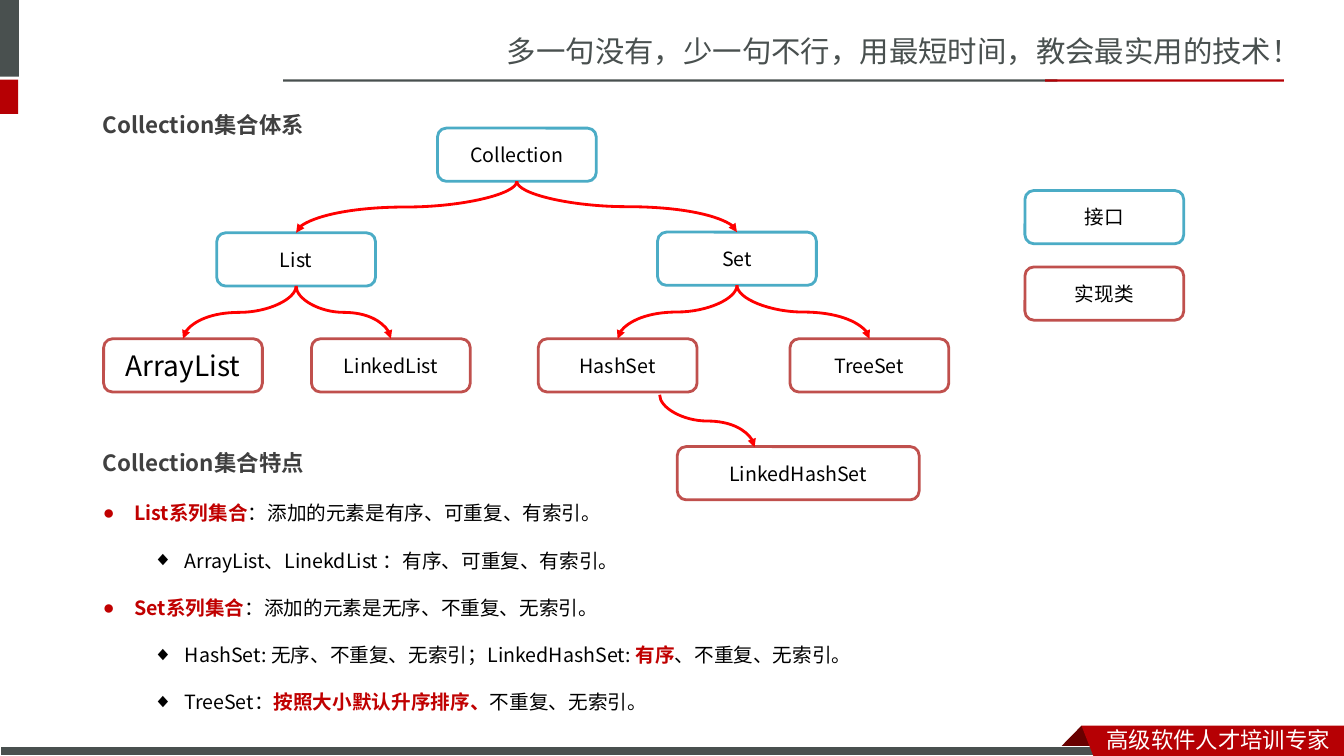
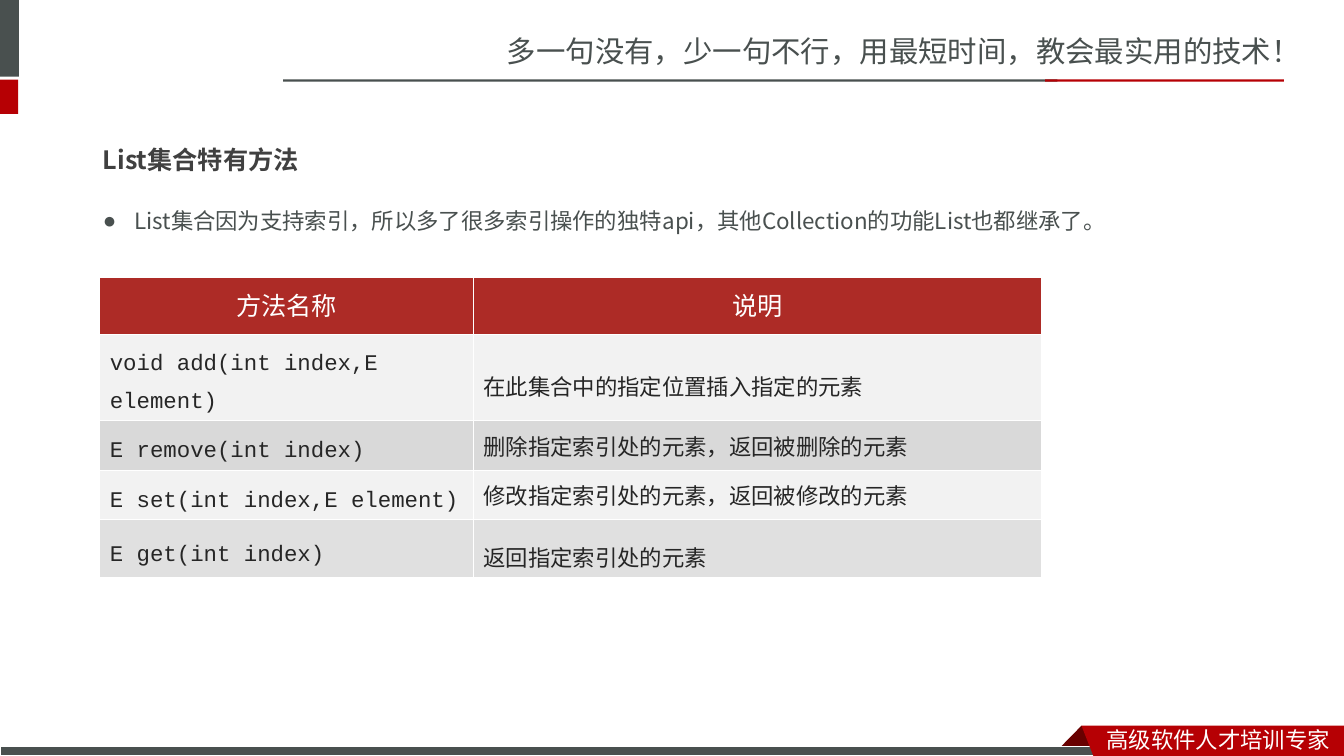
from lxml.etree import SubElement
from pptx import Presentation
from pptx.dml.color import RGBColor
from pptx.enum.shapes import MSO_CONNECTOR as Connector, MSO_SHAPE as Shape
from pptx.enum.text import MSO_ANCHOR as Anchor, MSO_AUTO_SIZE as AutoSize, PP_ALIGN as Align
from pptx.oxml.ns import qn
from pptx.util import Pt

COLORS = {
    "gray": "49504F", "red": "B60004", "fold": "680000", "white": "FFFFFF",
    "black": "000000", "heading": "404040", "emphasis": "C00000",
    "interface": "4BACC6", "class": "C0504D", "arrow": "FF0000",
    "header": "AD2B26", "code": "262626",
    "light": "F2F2F2", "dark": "D9D9D9", "medium": "E0E0E0",
}
SANS, HAN, CODE = "Noto Sans CJK JP", "Noto Sans CJK SC", "Courier New"
BULLETS = ("●", "◆")
LEFT = 66.24
NODE_WIDTH, NODE_HEIGHT = 113.4, 38


def rgb(name):
    return RGBColor.from_string(COLORS[name])


def write(frame, *lines, size=14, color="black", font=SANS, east=None, bold=False,
          align=Align.LEFT, spacing=1.0, anchor=Anchor.TOP, levels=None):
    """Fill a text frame; parts between asterisks are emphasised, levels add bullets."""
    frame.word_wrap = True
    frame.auto_size = AutoSize.NONE
    frame.vertical_anchor = anchor
    for index, line in enumerate(lines):
        para = frame.add_paragraph() if index else frame.paragraphs[0]
        para.alignment, para.line_spacing = align, spacing
        para.space_before = Pt(0)
        if levels:
            add_bullet(para, levels[index])
        for part, text in enumerate(line.split("*")):
            if not text:
                continue
            strong = part % 2 == 1
            span = para.add_run()
            span.text = text
            span.font.size = Pt(size)
            span.font.bold = bold or strong
            span.font.color.rgb = rgb("emphasis" if strong else color)
            span.font.name = font
            latin = span.font._element.find(qn("a:latin"))
            east_font = SubElement(span.font._element, qn("a:ea"))
            east_font.set("typeface", east or font)
            latin.addnext(east_font)


def add_bullet(para, level):
    para.level = level
    properties = para._p.get_or_add_pPr()
    properties.set("marL", str(Pt(22.5 + 36 * level)))
    properties.set("indent", str(Pt(-22.5)))
    SubElement(properties, qn("a:buChar")).set("char", BULLETS[level])


class Slides:
    def __init__(self):
        self.deck = Presentation()
        self.deck.slide_width, self.deck.slide_height = Pt(960), Pt(540)
        self.page = None

    def new_page(self):
        self.page = self.deck.slides.add_slide(self.deck.slide_layouts[1])
        self.bar(0, 0, 13.5, 54.7, "gray")
        self.bar(0, 56.9, 13, 24.5, "red")
        self.bar(202.3, 56.7, 553, 1.6, "gray")
        self.bar(746.6, 56.7, 170.6, 1.6, "red")
        self.text(355, 20.2, 605, 34, "多一句没有，少一句不行，用最短时间，教会最实用的技术！",
                  size=21, color="gray", font=HAN)
        self.polygon([(772.5, 518.4), (788.4, 534.5), (756.7, 534.5)], "fold")
        self.bar(0, 533.5, 791, 6.5, "gray", "white")
        self.polygon([(772.5, 518.4), (960, 518.4), (960, 540), (781, 540)], "red")
        self.text(783.4, 514.8, 176.6, 25, "高级软件人才培训专家",
                  size=16, color="white", font=HAN)

    def paint(self, shape, fill, line=None, weight=0.75):
        shape.shadow.inherit = False
        shape.fill.solid()
        shape.fill.fore_color.rgb = rgb(fill)
        if line:
            shape.line.color.rgb = rgb(line)
            shape.line.width = Pt(weight)
        else:
            shape.line.fill.background()

    def bar(self, left, top, width, height, fill, line=None):
        shape = self.page.shapes.add_shape(Shape.RECTANGLE, Pt(left), Pt(top), Pt(width), Pt(height))
        self.paint(shape, fill, line)

    def polygon(self, points, fill):
        start, *others = [(Pt(x), Pt(y)) for x, y in points]
        builder = self.page.shapes.build_freeform(*start)
        builder.add_line_segments(others, close=True)
        self.paint(builder.convert_to_shape(), fill)

    def text(self, left, top, width, height, *lines, **style):
        box = self.page.shapes.add_textbox(Pt(left), Pt(top), Pt(width), Pt(height))
        write(box.text_frame, *lines, **style)

    def fill_placeholder(self, index, top, width, height, *lines, **style):
        box = self.page.placeholders[index]
        box.left, box.top, box.width, box.height = Pt(LEFT), Pt(top), Pt(width), Pt(height)
        write(box.text_frame, *lines, **style)

    def title(self, top, width, height, text, **style):
        self.fill_placeholder(0, top, width, height, text, color="heading", bold=True, **style)

    def body(self, top, width, height, items, **style):
        """Write a bulleted list from (level, text) pairs."""
        levels, lines = zip(*items)
        self.fill_placeholder(1, top, width, height, *lines, levels=levels, spacing=2.0, **style)

    def node(self, center, top, text, kind, width=NODE_WIDTH, size=14):
        box = self.page.shapes.add_shape(Shape.ROUNDED_RECTANGLE, Pt(center - width / 2), Pt(top),
                                         Pt(width), Pt(NODE_HEIGHT))
        self.paint(box, "white", kind, 2)
        write(box.text_frame, text, size=size, align=Align.CENTER, anchor=Anchor.MIDDLE)

    def arrow(self, x1, y1, x2, y2):
        """Draw a curve that leaves and arrives vertically: a horizontal one, turned."""
        middle_x, middle_y = (x1 + x2) / 2, (y1 + y2) / 2
        half_width, half_height = (y2 - y1) / 2, abs(x2 - x1) / 2
        side = 1 if x2 > x1 else -1
        curve = self.page.shapes.add_connector(
            Connector.CURVE, Pt(middle_x + side * half_width), Pt(middle_y - half_height),
            Pt(middle_x - side * half_width), Pt(middle_y + half_height))
        curve.line.color.rgb = rgb("arrow")
        curve.line.width = Pt(2)
        properties = curve._element.spPr
        properties.find(qn("a:xfrm")).set("rot", str((270 if side > 0 else 90) * 60000))
        SubElement(properties.find(qn("a:ln")), qn("a:tailEnd")).set("type", "triangle")
        SubElement(properties, qn("a:effectLst"))

    def table(self, left, top, widths, heights, rows, fills):
        """Each row is a list of (text, style) pairs."""
        table = self.page.shapes.add_table(len(rows), len(widths), Pt(left), Pt(top),
                                           Pt(sum(widths)), Pt(sum(heights))).table
        for column, width in zip(table.columns, widths):
            column.width = Pt(width)
        for index, (row, height, fill) in enumerate(zip(rows, heights, fills)):
            table.rows[index].height = Pt(height)
            for cell, (text, style) in zip(table.rows[index].cells, row):
                cell.fill.solid()
                cell.fill.fore_color.rgb = rgb(fill)
                cell.vertical_anchor = Anchor.MIDDLE
                write(cell.text_frame, text, anchor=None, **style)


def collection_page(slides):
    slides.new_page()
    slides.title(66.2, 603, 34, "Collection集合体系", size=16, spacing=1.5)
    slides.body(337.7, 620.6, 172, [
        (0, "*List系列集合*：添加的元素是有序、可重复、有索引。"),
        (1, "ArrayList、LinekdList ：有序、可重复、有索引。"),
        (0, "*Set系列集合*：添加的元素是无序、不重复、无索引。"),
        (1, "HashSet: 无序、不重复、无索引；LinkedHashSet: *有序*、不重复、无索引。"),
        (1, "TreeSet：*按照大小默认升序排序、*不重复、无索引。"),
    ])
    slides.text(LEFT, 307.4, 603, 34, "Collection集合特点",
                size=16, color="heading", bold=True, spacing=1.5)

    nodes = {
        "Collection": (369.2, 91.5, "interface"),
        "List": (211.5, 166.3, "interface"),
        "Set": (526.4, 165.8, "interface"),
        "ArrayList": (130.7, 242, "class"),
        "LinkedList": (279.2, 242, "class"),
        "HashSet": (441.2, 242, "class"),
        "TreeSet": (621, 242, "class"),
        "接口": (788.8, 136.1, "interface"),
        "实现类": (788.8, 190.7, "class"),
    }
    for name, (center, top, kind) in nodes.items():
        slides.node(center, top, name, kind, size=20 if name == "ArrayList" else 14)
    slides.node(570.2, 319, "LinkedHashSet", "class", width=172.8)

    children = {"Collection": ("List", "Set"), "List": ("ArrayList", "LinkedList"),
                "Set": ("HashSet", "TreeSet")}
    for parent, names in children.items():
        x, top, _ = nodes[parent]
        for name in names:
            slides.arrow(x, top + NODE_HEIGHT, *nodes[name][:2])
    slides.arrow(471.2, 282, 539, 319.5)


def list_page(slides):
    slides.new_page()
    slides.title(77.8, 527.8, 45.4, "List集合特有方法", size=18, spacing=2.0)
    slides.body(125.3, 848.9, 41, [
        (0, "List集合因为支持索引，所以多了很多索引操作的独特api，其他Collection的功能List也都继承了。"),
    ], size=16, color="gray")

    header = dict(size=18, color="white", font="Calibri", east=HAN,
                  align=Align.CENTER, spacing=Pt(24))
    code = dict(size=16, color="code", font=CODE, spacing=1.5)
    note = dict(size=16, color="code", font=HAN)
    tall_note = dict(note, spacing=1.5)
    slides.table(71.3, 198, (267, 405.4), (41, 35.3, 35.3, 35.3, 35.3), [
        [("方法名称", header), ("说明", header)],
        [("void add(int index,E element)", code), ("在此集合中的指定位置插入指定的元素", tall_note)],
        [("E remove(int index)", code), ("删除指定索引处的元素，返回被删除的元素", note)],
        [("E set(int index,E element)", code), ("修改指定索引处的元素，返回被修改的元素", note)],
        [("E get(int index)", code), ("返回指定索引处的元素", tall_note)],
    ], ("header", "light", "dark", "light", "medium"))


def main():
    slides = Slides()
    collection_page(slides)
    list_page(slides)
    slides.deck.save("out.pptx")


if __name__ == "__main__":
    main()
